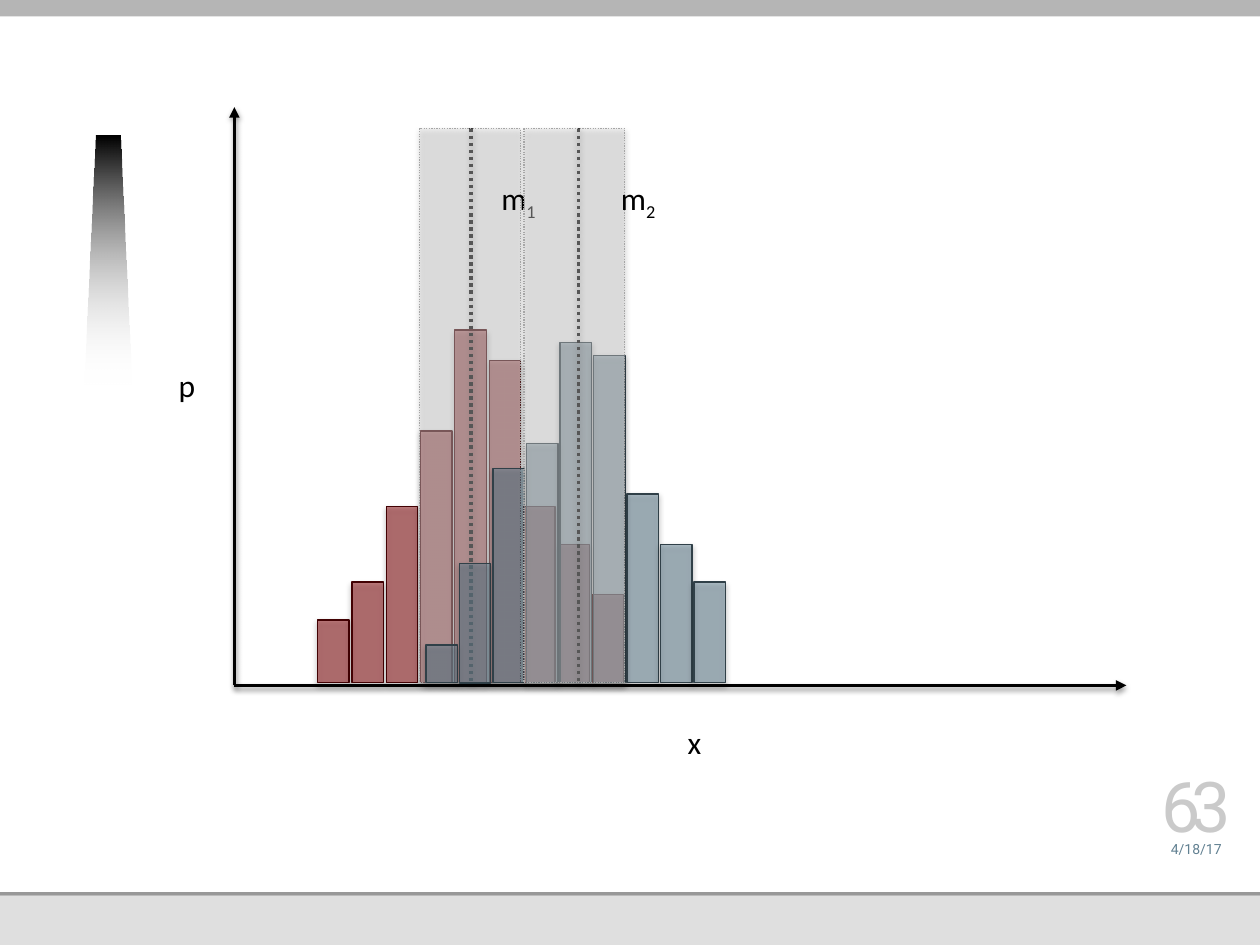
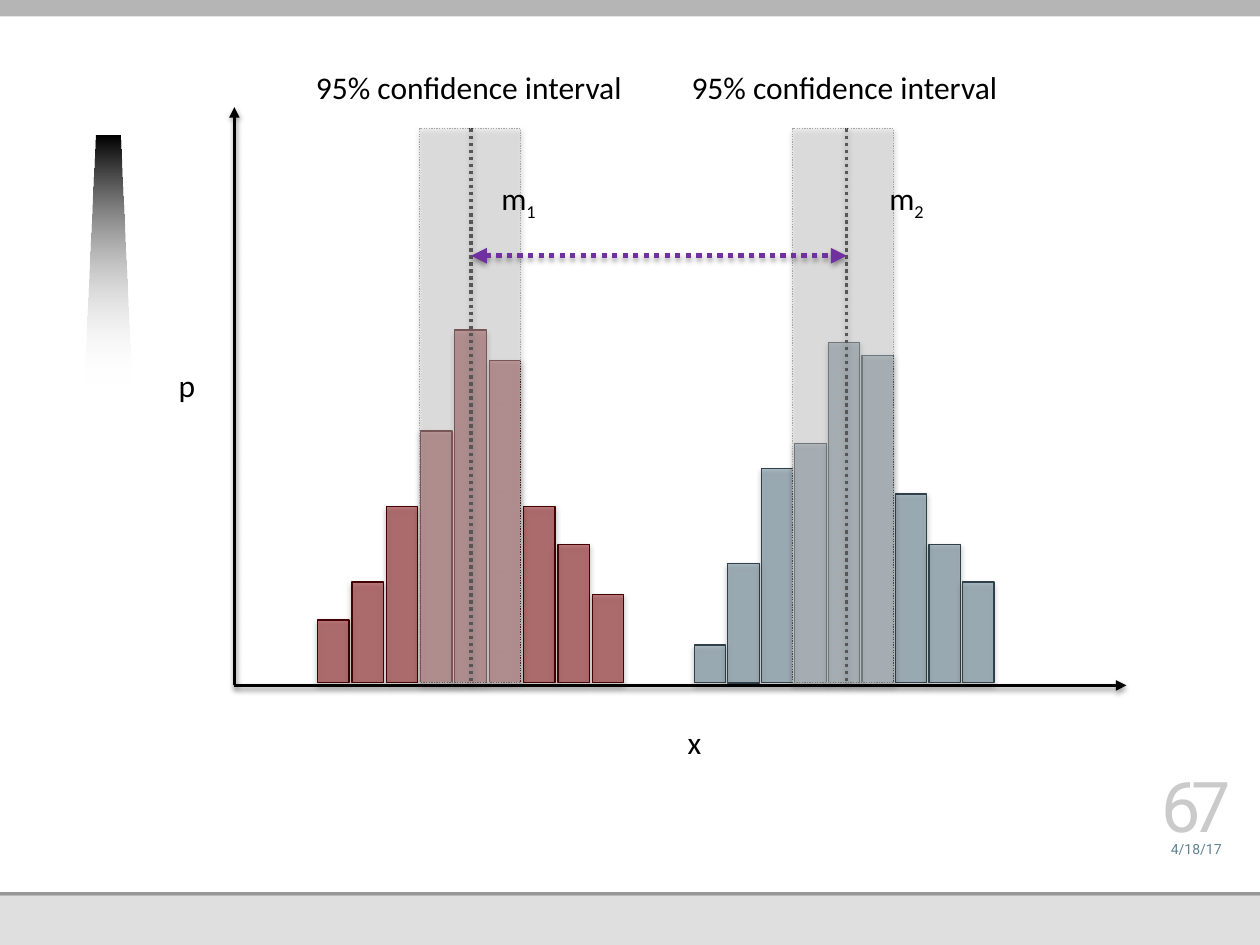
"""Build two slides comparing pairs of histograms with means and confidence bands."""
from lxml import etree
from pptx import Presentation
from pptx.dml.color import RGBColor
from pptx.enum.dml import MSO_LINE
from pptx.enum.shapes import MSO_CONNECTOR, MSO_SHAPE
from pptx.enum.text import MSO_ANCHOR, MSO_AUTO_SIZE, PP_ALIGN
from pptx.oxml.ns import qn
from pptx.util import Inches, Pt

RECTANGLE, STRAIGHT = MSO_SHAPE.RECTANGLE, MSO_CONNECTOR.STRAIGHT
DOTTED = MSO_LINE.ROUND_DOT
CENTER, LEFT = PP_ALIGN.CENTER, PP_ALIGN.LEFT
TOP, BOTTOM = MSO_ANCHOR.TOP, MSO_ANCHOR.BOTTOM
FIT_SHAPE, NO_FIT = MSO_AUTO_SIZE.SHAPE_TO_FIT_TEXT, MSO_AUTO_SIZE.NONE

BLACK = RGBColor(0x00, 0x00, 0x00)
WHITE = RGBColor(0xFF, 0xFF, 0xFF)
FOOTER_GRAY = RGBColor(0xDF, 0xDF, 0xDF)
RULE_GRAY = RGBColor(0x98, 0x98, 0x98)
HEADER_GRAY = RGBColor(0xB5, 0xB5, 0xB5)
NUMBER_GRAY = RGBColor(0xCA, 0xCA, 0xCA)
BAND_FILL = RGBColor(0xD9, 0xD9, 0xD9)
BAND_LINE = RGBColor(0xA6, 0xA6, 0xA6)
RED = RGBColor(0x85, 0x02, 0x05)
DARK_RED = RGBColor(0x42, 0x01, 0x03)
BLUE = RGBColor(0x61, 0x80, 0x91)
DARK_BLUE = RGBColor(0x30, 0x40, 0x48)
PURPLE = RGBColor(0x70, 0x30, 0xA0)

WIDTH, HEIGHT = 10, 7.5
HEADER_HEIGHT, RULE_TOP, FOOTER_TOP = 0.13, 7.08, 7.11
BEAM = [(0.67, 3.05), (0.76, 1.08), (0.95, 1.08), (1.04, 3.05)]
CORNER_LEFT, CORNER_WIDTH = 9.13, 0.73
AXIS_LEFT, AXIS_RIGHT, AXIS_TOP, AXIS_BASE = 1.86, 8.94, 0.85, 5.44
BAR_BASE, BAR_WIDTH = 5.42, 0.25
BAND_TOP, BAND_WIDTH = 1.02, 0.8
LABEL_TOP, LABEL_HEIGHT, LABEL_WIDTH = 1.37, 0.4, 0.49
INTERVAL_TOP, INTERVAL_WIDTH = 0.49, 2.66
DISTANCE_TOP = 2.03

DATE = "4/18/17"
INTERVAL = "95% confidence interval"
AXIS_NAMES = [("x", 5.36, 5.69, 0.31), ("p", 1.32, 2.86, 0.34)]
FIRST = dict(heights=[0.5, 0.8, 1.4, 2, 2.8, 2.56, 1.4, 1.1, 0.7], pitch=0.2725,
             fill=RED, line=DARK_RED, mean=1.22, band=0.81, label=0.14, index="1")
SECOND = dict(heights=[0.3, 0.95, 1.7, 1.9, 2.7, 2.6, 1.5, 1.1, 0.8], pitch=0.266,
              fill=BLUE, line=DARK_BLUE, mean=1.21, band=0.78, label=0.24, index="2")
SLIDES = [
    dict(number="63", groups=[(FIRST, 2.52), (SECOND, 3.38)], intervals=False),
    dict(number="67", groups=[(FIRST, 2.52), (SECOND, 5.51)], intervals=True),
]


def add_child(parent, tag, **attributes):
    child = etree.SubElement(parent, qn(tag))
    for name, value in attributes.items():
        child.set(name, str(value))
    return child


def set_opacity(color_element, percent):
    add_child(color_element, "a:alpha", val=percent * 1000)


def add_shadow(shape, distance, percent):
    effects = add_child(shape.element.spPr, "a:effectLst")
    shadow = add_child(effects, "a:outerShdw", blurRad=Pt(3.1), dist=Pt(distance),
                       dir=5400000, rotWithShape=0)
    set_opacity(add_child(shadow, "a:srgbClr", val=BLACK), percent)


def add_rectangle(page, left, top, width, height, fill, line=None, opacity=None, dash=None):
    box = page.shapes.add_shape(RECTANGLE, *map(Inches, (left, top, width, height)))
    box.fill.solid()
    box.fill.fore_color.rgb = fill
    if opacity:
        set_opacity(box.element.spPr.find(".//" + qn("a:srgbClr")), opacity)
    if line is None:
        box.line.fill.background()
        box.shadow.inherit = False
    else:
        box.line.color.rgb = line
        box.line.width = Pt(0.75)
        if dash:
            box.line.dash_style = dash
        add_shadow(box, 1.8, 35)
    return box


def add_line(page, start, end, color=BLACK, width=2, dash=None, arrows=()):
    line = page.shapes.add_connector(STRAIGHT, *map(Inches, start + end))
    line.line.color.rgb = color
    line.line.width = Pt(width)
    if dash:
        line.line.dash_style = dash
    for arrow in arrows:
        add_child(line.element.spPr.find(qn("a:ln")), arrow, type="triangle")
    add_shadow(line, 1.6, 38)


def add_text(page, text, left, top, width, height=LABEL_HEIGHT, size=18, font="Calibri",
             color=BLACK, align=LEFT, anchor=TOP, fit=FIT_SHAPE, wrap=False, margin=None,
             subscript="", spacing=0):
    box = page.shapes.add_textbox(*map(Inches, (left, top, width, height)))
    frame = box.text_frame
    frame.word_wrap, frame.auto_size, frame.vertical_anchor = wrap, fit, anchor
    if margin is not None:
        frame.margin_left = frame.margin_right = Inches(margin)
        frame.margin_top = frame.margin_bottom = Inches(margin)
    para = frame.paragraphs[0]
    para.alignment = align
    for part, baseline in ((text, 0), (subscript, -25)):
        if not part:
            continue
        span = para.add_run()
        span.text = part
        span.font.size, span.font.name = Pt(size), font
        span.font.color.rgb = color
        properties = span.font._element
        if baseline:
            properties.set("baseline", str(baseline * 1000))
        if spacing:
            properties.set("spc", str(spacing * 100))


def add_beam(page):
    points = [(Inches(x), Inches(y)) for x, y in BEAM]
    builder = page.shapes.build_freeform(*points[0])
    builder.add_line_segments(points[1:], close=True)
    beam = builder.convert_to_shape()
    beam.fill.gradient()
    beam.fill.gradient_angle = 270
    for stop, color, position in zip(beam.fill.gradient_stops, (BLACK, WHITE), (0, 1)):
        stop.color.rgb = color
        stop.position = position
    set_opacity(beam.element.spPr.findall(".//" + qn("a:srgbClr"))[-1], 0)
    beam.line.fill.background()
    beam.shadow.inherit = False


def move_frame_to_master(deck, page):
    add_rectangle(page, 0, FOOTER_TOP, WIDTH, HEIGHT - FOOTER_TOP, FOOTER_GRAY)
    add_rectangle(page, 0, RULE_TOP, WIDTH, FOOTER_TOP - RULE_TOP, RULE_GRAY)
    add_beam(page)
    add_rectangle(page, 0, 0, WIDTH, HEADER_HEIGHT, HEADER_GRAY)
    for shape in list(page.shapes):
        deck.slide_master.shapes.element.append(shape.element)


def add_corner(page, number):
    shared = dict(font="Roboto", align=CENTER, anchor=BOTTOM, fit=NO_FIT, wrap=True, margin=0)
    add_text(page, DATE, CORNER_LEFT, 6.58, CORNER_WIDTH, 0.22, size=8, color=BLUE, **shared)
    add_text(page, number, CORNER_LEFT, 6.16, CORNER_WIDTH, 0.56, size=40,
             color=NUMBER_GRAY, spacing=-5, **shared)


def add_axes(page):
    origin = (AXIS_LEFT, AXIS_BASE)
    for end in ((AXIS_RIGHT, AXIS_BASE), (AXIS_LEFT, AXIS_TOP)):
        add_line(page, origin, end, arrows=["a:tailEnd"])
    for name, left, top, width in AXIS_NAMES:
        add_text(page, name, left, top, width)


def add_histogram(page, group, start):
    for column, height in enumerate(group["heights"]):
        add_rectangle(page, start + column * group["pitch"], BAR_BASE - height, BAR_WIDTH,
                      height, group["fill"], line=group["line"], opacity=50)
    mean = start + group["mean"]
    add_line(page, (mean, BAND_TOP), (mean, BAR_BASE), dash=DOTTED)
    add_rectangle(page, start + group["band"], BAND_TOP, BAND_WIDTH, BAR_BASE - BAND_TOP,
                  BAND_FILL, line=BAND_LINE, opacity=40, dash=DOTTED)
    add_text(page, "m", mean + group["label"], LABEL_TOP, LABEL_WIDTH,
             subscript=group["index"])
    return mean


def add_intervals(page, means):
    for mean in means:
        add_text(page, INTERVAL, mean - INTERVAL_WIDTH / 2, INTERVAL_TOP, INTERVAL_WIDTH)
    first, second = means
    add_line(page, (first, DISTANCE_TOP), (second, DISTANCE_TOP), color=PURPLE, width=3,
             dash=DOTTED, arrows=["a:headEnd", "a:tailEnd"])


def main():
    deck = Presentation()
    deck.slide_width, deck.slide_height = Inches(WIDTH), Inches(HEIGHT)
    blank = deck.slide_layouts.get_by_name("Blank")
    pages = [deck.slides.add_slide(blank) for _ in SLIDES]
    move_frame_to_master(deck, pages[0])
    for page, content in zip(pages, SLIDES):
        add_corner(page, content["number"])
        add_axes(page)
        means = [add_histogram(page, group, start) for group, start in content["groups"]]
        if content["intervals"]:
            add_intervals(page, means)
    deck.save("out.pptx")


if __name__ == "__main__":
    main()
